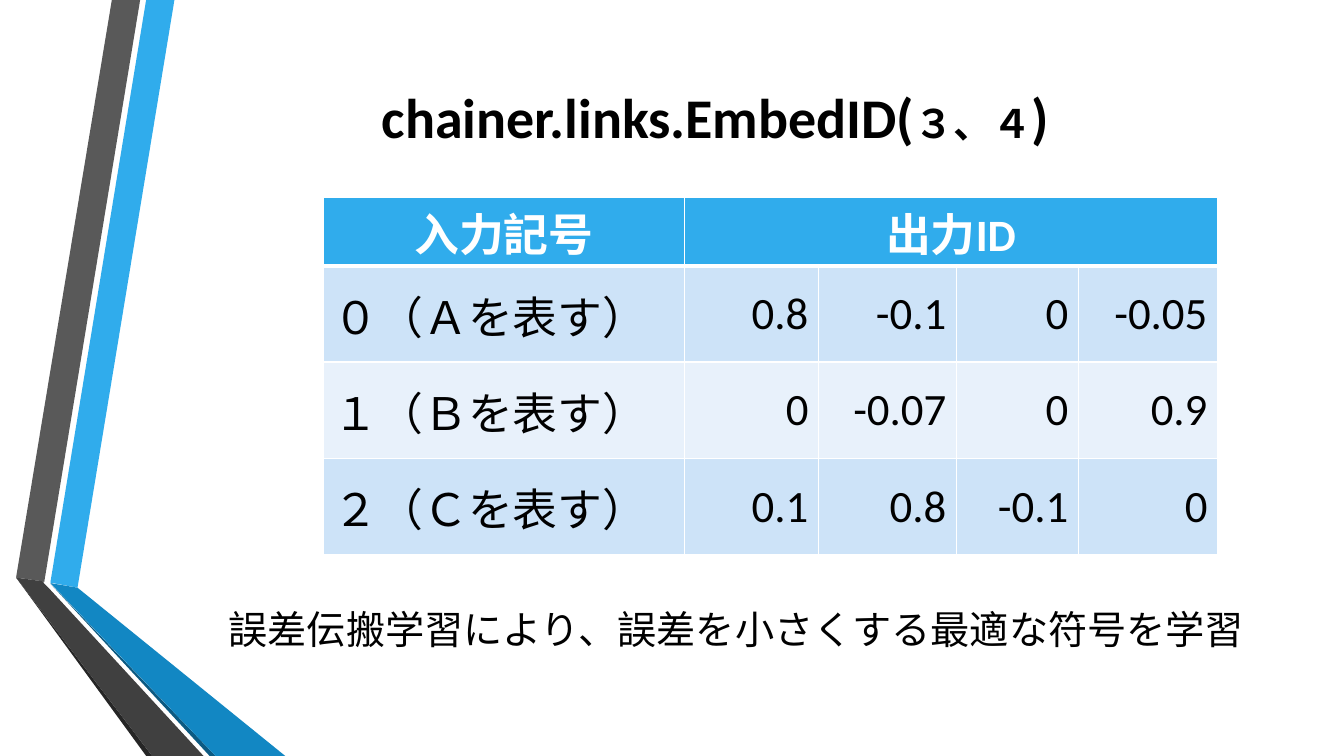
from dataclasses import dataclass

from lxml import etree
from pptx import Presentation
from pptx import util as u
from pptx.dml.color import RGBColor
from pptx.enum import text
from pptx.oxml.ns import qn
from pptx.slide import Slide
from pptx.table import _Cell
from pptx.text.text import TextFrame, _Paragraph

Pt = u.Pt
LEFT, MID, RIGHT = (text.PP_ALIGN.LEFT, text.PP_ALIGN.CENTER,
                    text.PP_ALIGN.RIGHT)


@dataclass(frozen=True)
class Theme:
    font: str = "Calibri"
    ink: str = "000000"
    paper: str = "FFFFFF"
    head: str = "30ACEC"
    bands: tuple[str, str] = ("CDE3F8", "E8F1FB")
    title: float = 40
    note: float = 28
    cell: float = 32


@dataclass(frozen=True)
class Blade:
    color: str
    points: tuple[tuple[float, float], ...]


THEME = Theme()

BLADES = (
    Blade(THEME.head, ((36, 416.2), (55.4, 419.8), (124.6, 0), (104.4, 0))),
    Blade("595959", ((100.1, 0), (79.9, 0), (11.5, 412.6), (31.7, 415.4))),
    Blade("262626", ((11.5, 412.6), (104.4, 540), (108.7, 540))),
    Blade("0C5A82", ((36, 416.9), (149.8, 540), (154.1, 540))),
    Blade("1287C3", ((36, 416.5), (154.1, 540), (203.8, 540), (55.4, 419.8))),
    Blade("404040", ((145.4, 540), (34.6, 419.8), (31, 416.2), (31.7, 415.4),
                     (11.5, 412.6), (108.7, 540))),
)

COLS = (257.8, 95.8, 98.6, 87.1, 99.4)
ROWS = (48.8, 68.7, 68.7, 68.7)
DATA = (
    ("入力記号", "出力ID"),
    ("０（Ａを表す）", "0.8", "-0.1", "0", "-0.05"),
    ("１（Ｂを表す）", "0", "-0.07", "0", "0.9"),
    ("２（Ｃを表す）", "0.1", "0.8", "-0.1", "0"),
)


def write(para: _Paragraph, words: str, *, size: float,
          color: str = THEME.ink, bold: bool = False,
          align: text.PP_ALIGN = LEFT) -> None:
    """Add one run to the paragraph."""
    para.alignment = align
    run = para.add_run()
    run.text = words
    font = run.font
    font.name, font.size, font.bold = THEME.font, Pt(size), bold
    font.color.rgb = RGBColor.from_string(color)


def draw_blade(slide: Slide, blade: Blade) -> None:
    first, *rest = [(Pt(x), Pt(y)) for x, y in blade.points]
    form = slide.shapes.build_freeform(*first)
    form.add_line_segments(rest, close=True)
    shape = form.convert_to_shape()
    shape.shadow.inherit = False
    shape.fill.solid()
    shape.fill.fore_color.rgb = RGBColor.from_string(blade.color)
    shape.line.fill.background()


def add_title(slide: Slide) -> None:
    title = slide.shapes.title
    title.left, title.top = Pt(116.6), Pt(13.7)
    title.width, title.height = Pt(789.1), Pt(138.2)
    frame: TextFrame = title.text_frame
    frame.vertical_anchor = text.MSO_ANCHOR.MIDDLE
    for words, size in (("chainer.links.EmbedID(", THEME.title),
                        ("３、４", THEME.note), (")", THEME.title)):
        write(frame.paragraphs[0], words, size=size, bold=True, align=MID)


def add_note(slide: Slide) -> None:
    box = slide.shapes.add_textbox(Pt(156.2), Pt(429.1), Pt(749.5), Pt(41))
    box.text_frame.word_wrap = False
    write(box.text_frame.paragraphs[0],
          "誤差伝搬学習により、誤差を小さくする最適な符号を学習",
          size=THEME.note)


def edge(cell: _Cell, base: float, top: float) -> None:
    """Give the cell white borders; call before its fill is set."""
    props = cell._tc.get_or_add_tcPr()
    for side, width in (("L", 1), ("R", 1), ("T", top), ("B", base)):
        line = etree.SubElement(props, qn(f"a:ln{side}"), w=str(Pt(width)))
        fill = etree.SubElement(line, qn("a:solidFill"))
        etree.SubElement(fill, qn("a:srgbClr"), val=THEME.paper)


def add_grid(slide: Slide) -> None:
    grid = slide.shapes.add_table(len(ROWS), len(COLS), Pt(231.1), Pt(141.1),
                                  Pt(sum(COLS)), Pt(sum(ROWS))).table
    grid.horz_banding = False
    for col, width in zip(grid.columns, COLS):
        col.width = Pt(width)
    for row, height in zip(grid.rows, ROWS):
        row.height = Pt(height)
    grid.cell(0, 1).merge(grid.cell(0, len(COLS) - 1))

    for r, row in enumerate(grid.rows):
        head = r == 0
        back = THEME.head if head else THEME.bands[(r - 1) % 2]
        for c, cell in enumerate(row.cells):
            edge(cell, base=3 if head else 1, top=3 if r == 1 else 1)
            cell.fill.solid()
            cell.fill.fore_color.rgb = RGBColor.from_string(back)
            cell.margin_top, cell.margin_bottom = Pt(0.75), Pt(0)
            cell.vertical_anchor = text.MSO_ANCHOR.MIDDLE
            if c < len(DATA[r]):
                write(cell.text_frame.paragraphs[0], DATA[r][c],
                      size=THEME.cell, bold=head,
                      color=THEME.paper if head else THEME.ink,
                      align=MID if head else RIGHT if c else LEFT)


def main() -> None:
    deck = Presentation()
    deck.slide_width, deck.slide_height = Pt(960), Pt(540)
    slide = deck.slides.add_slide(deck.slide_layouts.get_by_name("Title Only"))
    for blade in BLADES:
        draw_blade(slide, blade)
    add_title(slide)
    add_note(slide)
    add_grid(slide)
    deck.save("out.pptx")


if __name__ == "__main__":
    main()
